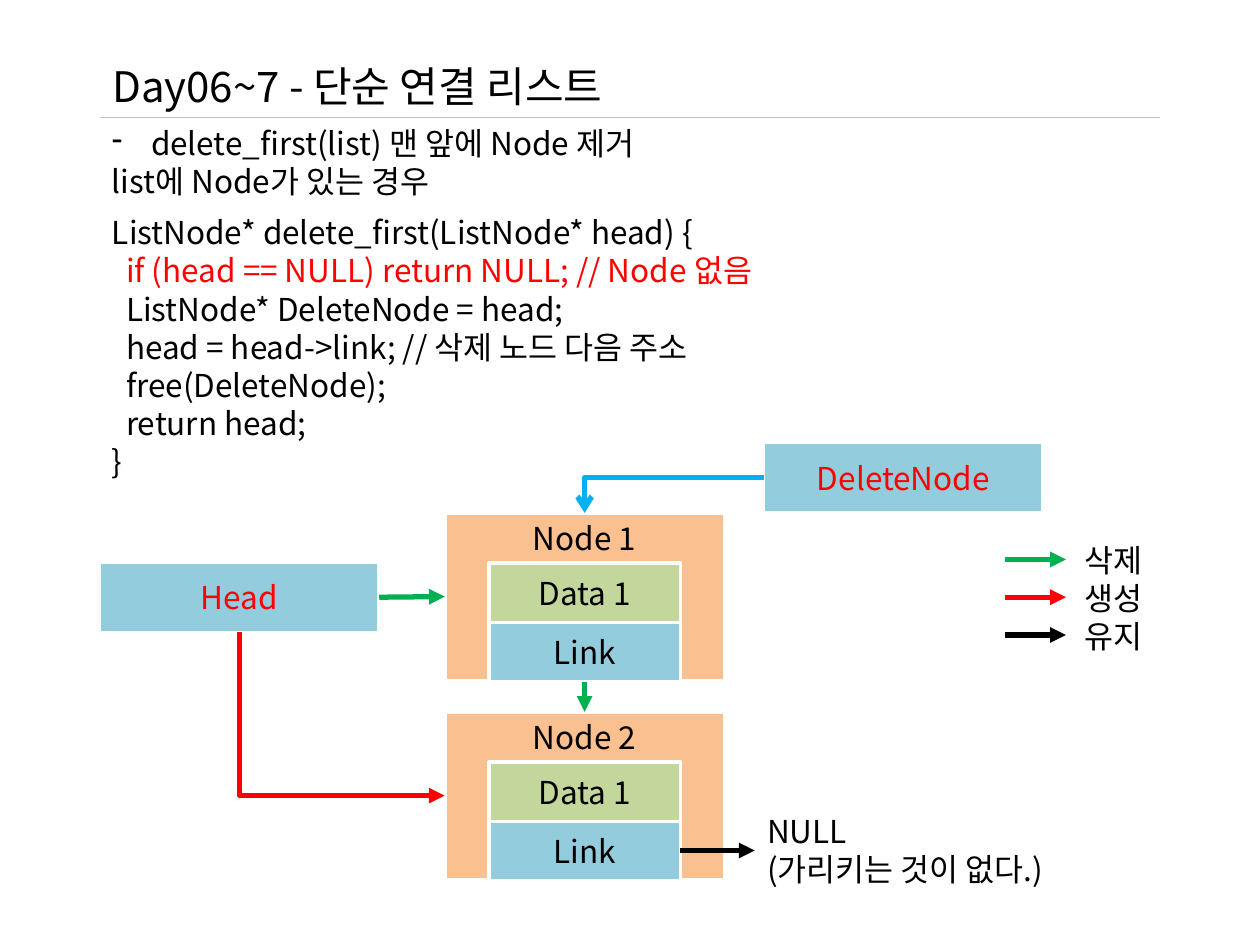
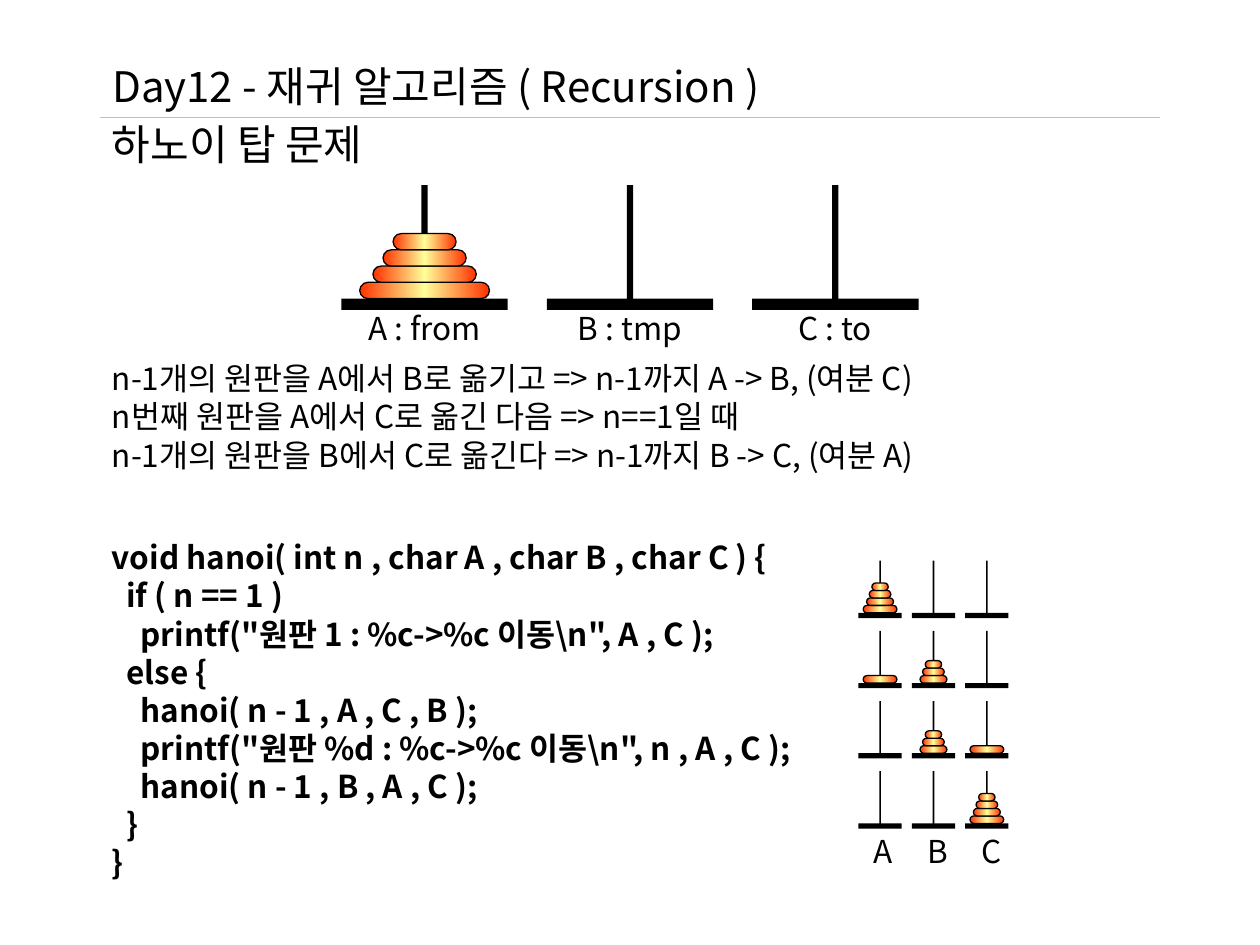
from copy import deepcopy
from dataclasses import dataclass

from lxml.etree import SubElement as Sub
from pptx import Presentation
from pptx.dml.color import RGBColor as Rgb
from pptx.enum.shapes import MSO_CONNECTOR as Conn, MSO_SHAPE as Form
from pptx.enum.text import MSO_ANCHOR as Anchor, MSO_AUTO_SIZE as Fit, PP_ALIGN as Align
from pptx.oxml.ns import qn
from pptx.util import Inches, Pt


@dataclass(frozen=True)
class Theme:
    font: str = "Noto Sans CJK KR"
    head: int = 24
    body: int = 18
    lead: float = 1.21
    ink: str = "000000"
    paper: str = "FFFFFF"
    rule: str = "BFBFBF"
    red: str = "FF0000"
    green: str = "00B050"
    blue: str = "00B0F0"
    sky: str = "93CDDD"
    peach: str = "FAC090"
    lime: str = "C3D69B"
    disc: tuple = ("FF3300", "FFFF99", "FF3300")


T = Theme()

# The slide is a grid of 100 columns by 75 rows
WIDE, HIGH = Inches(10), Inches(7.5)
COLS, ROWS = 100, 75
LEFT, RIGHT, RULE = 7.9, 92.1, 9.3
SPAN = RIGHT - LEFT

# Sites of a rectangle where connectors attach
TOP, WEST, BASE, EAST = range(4)

# Hanoi measures at full scale: widths of discs from small to large
DISCS = (5, 6.6, 8.2, 10.3)
THICK, POLE, DROP, PITCH = 1.29, 0.5, 9, 16.3


def col(n):
    return round(WIDE * n / COLS)


def row(n):
    return round(HIGH * n / ROWS)


def area(x, y, w, h):
    return col(x), row(y), col(w), row(h)


# Text
def write(frame, lines, size=T.body, color=T.ink, bold=False, align=Align.LEFT,
          anchor=Anchor.TOP, wrap=True, lead=T.lead, marked=None):
    """Fill a frame; marked maps a line number to its own colour."""
    frame.auto_size = Fit.NONE
    frame.word_wrap = wrap
    frame.vertical_anchor = anchor
    for i, line in enumerate(lines):
        para = frame.paragraphs[0] if i == 0 else frame.add_paragraph()
        para.alignment = align
        para.line_spacing = Pt(round(size * lead, 1))
        run = para.add_run()
        run.text = line
        font = run.font
        font.name, font.size, font.bold = T.font, Pt(size), bold
        font.color.rgb = Rgb.from_string((marked or {}).get(i, color))
        Sub(run._r.get_or_add_rPr(), qn("a:ea"), typeface=T.font)


def label(shapes, place, *lines, **fmt):
    box = shapes.add_textbox(*area(*place))
    write(box.text_frame, lines, **fmt)
    return box


def dash(para, indent):
    props = para._p.get_or_add_pPr()
    props.set("marL", str(indent))
    props.set("indent", str(-indent))
    Sub(props, qn("a:buChar"), char="-")


# Shapes and lines
def block(shapes, place, fill, edge=None, width=2, form=Form.RECTANGLE):
    shape = shapes.add_shape(form, *area(*place))
    shape.shadow.inherit = False
    if isinstance(fill, tuple):
        blend(shape, fill)
    else:
        shape.fill.solid()
        shape.fill.fore_color.rgb = Rgb.from_string(fill)
    if edge:
        shape.line.color.rgb = Rgb.from_string(edge)
        shape.line.width = Pt(width)
    else:
        shape.line.fill.background()
    return shape


def blend(shape, colors):
    shape.fill.gradient()
    shape.fill.gradient_angle = 0
    stops = shape._element.spPr.find(".//" + qn("a:gsLst"))
    stops.insert(1, deepcopy(stops[0]))
    for i, (stop, color) in enumerate(zip(shape.fill.gradient_stops, colors)):
        stop.position = i / 2
        stop.color.rgb = Rgb.from_string(color)


def card(shapes, place, name, fill, color=T.ink, anchor=Anchor.MIDDLE):
    shape = block(shapes, place, fill, edge=T.paper)
    write(shape.text_frame, [name], color=color, align=Align.CENTER, anchor=anchor)
    return shape


def stroke(shapes, start, end, color, width=3, kind=Conn.STRAIGHT, **tips):
    """Draw a line; tips are headEnd or tailEnd with an arrow type."""
    (x1, y1), (x2, y2) = start, end
    line = shapes.add_connector(kind, col(x1), row(y1), col(x2), row(y2))
    line.line.color.rgb = Rgb.from_string(color)
    line.line.width = Pt(width)
    for tip, head in tips.items():
        Sub(line.line._get_or_add_ln(), qn("a:" + tip), type=head)
    Sub(line._element.spPr, qn("a:effectLst"))
    return line


def link(shapes, start, end, color, bent=False, **tips):
    """Join two (shape, site) pairs; a bent link has one corner."""
    kind = Conn.ELBOW if bent else Conn.STRAIGHT
    line = stroke(shapes, (0, 0), (1, 1), color, kind=kind, **tips)
    line.begin_connect(*start)
    line.end_connect(*end)
    if bent:
        line._element.spPr.find(qn("a:prstGeom")).set("prst", "bentConnector2")


# Shared slide head
def page(deck, title):
    slide = deck.slides.add_slide(deck.slide_layouts[5])
    head = slide.shapes.title
    head.left, head.top, head.width, head.height = area(LEFT, 4.3, SPAN, 5)
    write(head.text_frame, [title], size=T.head)
    stroke(slide.shapes, (LEFT, RULE), (RIGHT, RULE), T.rule, width=0.75)
    return slide.shapes


# Linked list parts
def node(shapes, y, name):
    x, w, cell = 35.3, 22.2, 4.7
    body = card(shapes, (x, y, w, 13.3), name, T.peach, anchor=Anchor.TOP)
    inner = x + 3.5
    card(shapes, (inner, y + 4, 15.2, cell), "Data 1", T.lime)
    tail = card(shapes, (inner, y + 4 + cell, 15.2, cell), "Link", T.sky)
    return body, tail


def legend(shapes, x, y, items):
    for i, color in enumerate(items.values()):
        level = y + 3 * i
        stroke(shapes, (x, level), (x + 4.8, level), color, tailEnd="triangle")
    label(shapes, (x + 5.3, y - 2, 7.1, 10.1), *items, wrap=False)


# Hanoi parts
def tower(shapes, x, y, stacks, wide=1, tall=1):
    """Draw three pegs; a stack lists disc sizes from the bottom up."""
    group = shapes.add_group_shape().shapes
    thick = THICK * tall
    for i, stack in enumerate(stacks):
        mid = x + i * PITCH * wide
        base, foot = y + DROP * tall, 13.2 * wide
        block(group, (mid - foot / 2, base, foot, 0.9 * tall), T.ink)
        pole = POLE * wide
        block(group, (mid - pole / 2, y, pole, (DROP + 0.5) * tall), T.ink)
        for n, size in enumerate(stack, 1):
            w = DISCS[size] * wide
            disc = block(group, (mid - w / 2, base - n * thick, w, thick),
                         T.disc, T.ink, 0.75, Form.ROUNDED_RECTANGLE)
            disc.adjustments[0] = 0.5


def names(shapes, x, y, step, words):
    for i, word in enumerate(words):
        label(shapes, (x + i * step - 6, y, 12, 4), word,
              align=Align.CENTER, wrap=False)


def listing(deck):
    shapes = page(deck, "Day06~7 - 단순 연결 리스트")
    intro = label(shapes, (LEFT, RULE, SPAN, 7.1),
                  "delete_first(list) 맨 앞에 Node 제거", "list에 Node가 있는 경우")
    dash(intro.text_frame.paragraphs[0], col(3.1))
    label(shapes, (LEFT, 16.4, SPAN, 22.2),
          "ListNode* delete_first(ListNode* head) {",
          "  if (head == NULL) return NULL; // Node 없음",
          "  ListNode* DeleteNode = head;",
          "  head = head->link; // 삭제 노드 다음 주소",
          "  free(DeleteNode);",
          "  return head;",
          "}", marked={1: T.red})

    # Pointers and nodes
    head = card(shapes, (LEFT, 44.6, 22.2, 5.6), "Head", T.sky, T.red)
    gone = card(shapes, (60.6, 35.1, 22.2, 5.6), "DeleteNode", T.sky, T.red)
    first, tail = node(shapes, 40.7, "Node 1")
    second, _ = node(shapes, 56.5, "Node 2")

    # Links
    link(shapes, (head, EAST), (first, WEST), T.green, tailEnd="triangle")
    link(shapes, (tail, BASE), (second, TOP), T.green, tailEnd="triangle")
    link(shapes, (second, WEST), (head, BASE), T.red, bent=True, headEnd="triangle")
    link(shapes, (gone, WEST), (first, TOP), T.blue, bent=True, tailEnd="arrow")
    stroke(shapes, (54, 67.5), (59.9, 67.5), T.ink, tailEnd="triangle")
    label(shapes, (59.9, 63.9, 25.6, 7.1), "NULL", "(가리키는 것이 없다.)", wrap=False)
    legend(shapes, 79.8, 44.4, {"삭제": T.green, "생성": T.red, "유지": T.ink})


def hanoi(deck):
    shapes = page(deck, "Day12 - 재귀 알고리즘 ( Recursion )")
    label(shapes, (LEFT, RULE, SPAN, 5), "하노이 탑 문제",
          size=T.head, lead=0.9 * T.lead)

    # Large tower and the three steps
    full = (3, 2, 1, 0)
    tower(shapes, 33.7, 14.7, (full, (), ()))
    names(shapes, 33.7, 24, PITCH, ("A : from", "B : tmp", "C : to"))
    label(shapes, (LEFT, 28, 87, 10.2),
          "n-1개의 원판을 A에서 B로 옮기고 => n-1까지 A -> B, (여분 C)",
          "n번째 원판을 A에서 C로 옮긴 다음 => n==1일 때",
          "n-1개의 원판을 B에서 C로 옮긴다 => n-1까지 B -> C, (여분 A)")

    label(shapes, (LEFT, 42.2, SPAN, 28.3),
          "void hanoi( int n , char A , char B , char C ) {",
          "  if ( n == 1 )",
          "    printf(\"원판 1 : %c->%c 이동\\n\", A , C );",
          "  else {",
          "    hanoi( n - 1 , A , C , B );",
          "    printf(\"원판 %d : %c->%c 이동\\n\", n , A , C );",
          "    hanoi( n - 1 , B , A , C );",
          "  }",
          "}", bold=True)

    # Small towers, one row for each state
    large, rest = full[:1], full[1:]
    states = ((full, (), ()), (large, rest, ()), ((), rest, large), ((), (), full))
    for i, state in enumerate(states):
        tower(shapes, 69.85, 44.5 + 5.57 * i, state, wide=0.26, tall=0.46)
    names(shapes, 70.1, 65.5, 4.3, "ABC")


def main():
    deck = Presentation()
    deck.slide_width, deck.slide_height = WIDE, HIGH
    listing(deck)
    hanoi(deck)
    deck.save("out.pptx")


if __name__ == "__main__":
    main()
